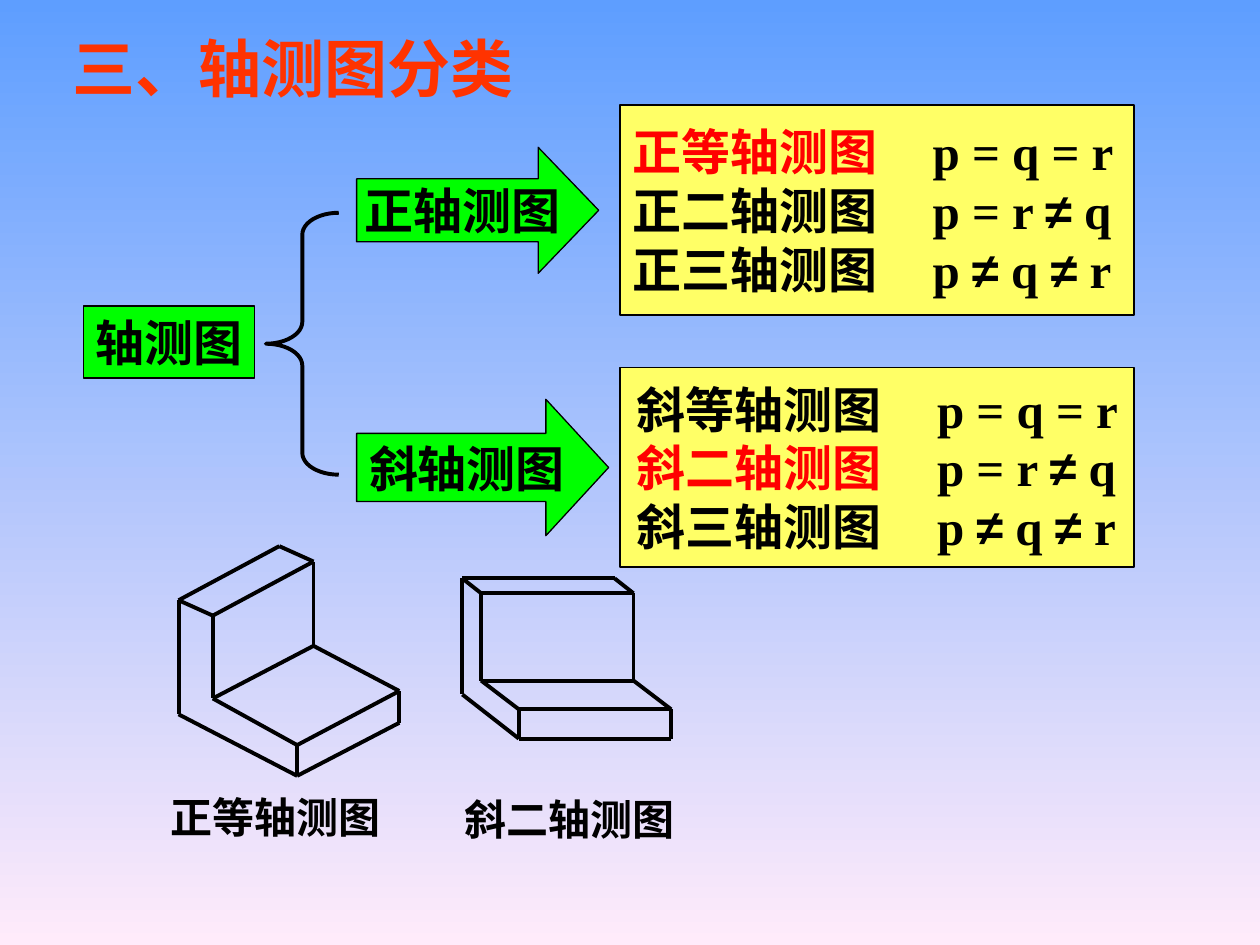
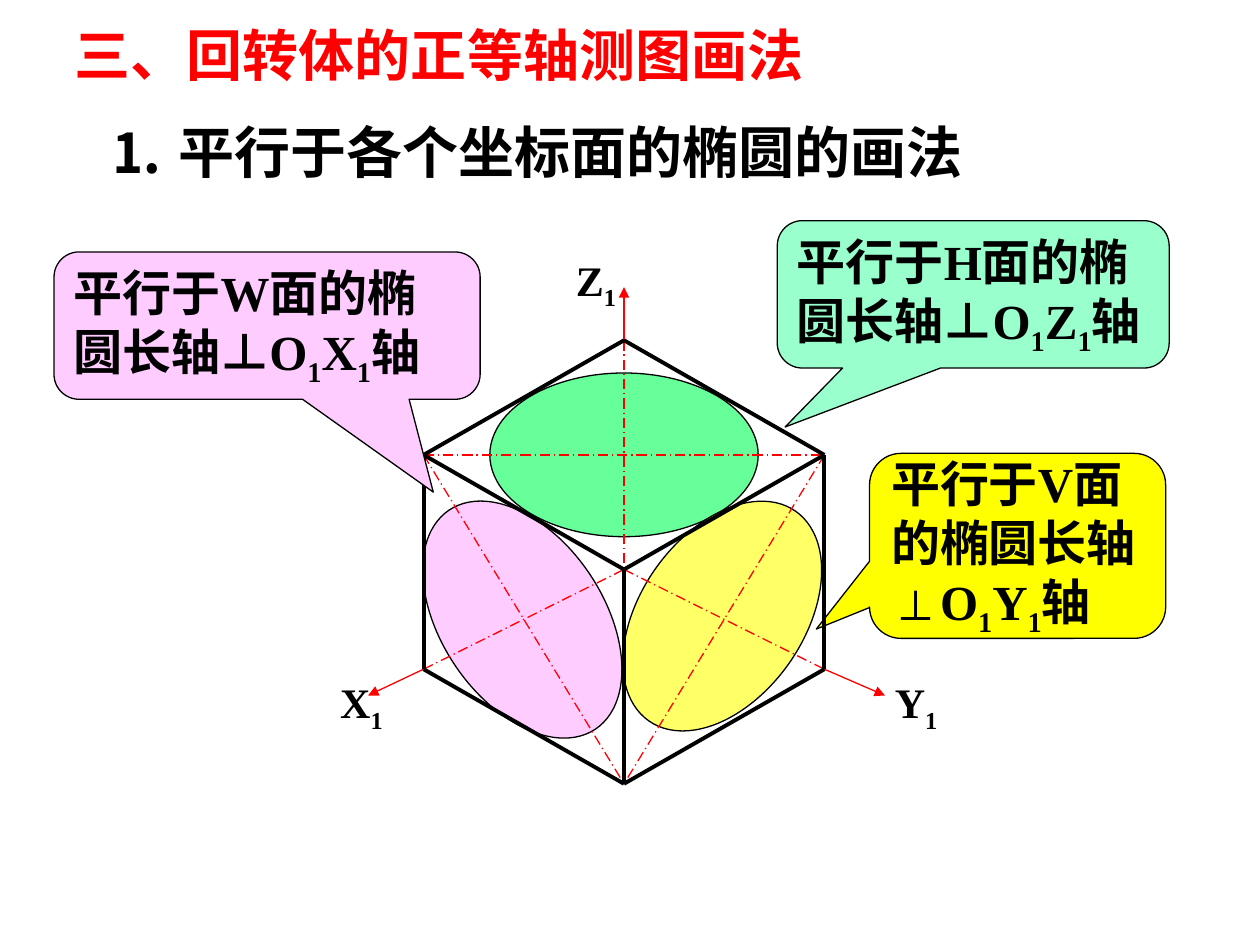
from lxml import etree
from pptx import Presentation
from pptx import util as u
from pptx.dml.color import RGBColor
from pptx.enum import dml, shapes, text
from pptx.oxml import ns

Cm, Pt = u.Cm, u.Pt
SHAPE = shapes.MSO_SHAPE
ANCHOR = text.MSO_ANCHOR
LATIN, CJK, SYMBOL = "Times New Roman", "Noto Sans CJK SC", "Arial"
BLACK, RED, ORANGE = "000000", "FF0000", "FF3300"
GREEN, PALE_YELLOW, PINK = "00FF00", "FFFF66", "FFCCFF"
THICK, THIN = 2.25, 0.75
FORMULA_TAB = 6.05


def rgb(value):
    return RGBColor.from_string(value)


def add_xml(parent, tag, **attrs):
    return etree.SubElement(parent, ns.qn(tag), **attrs)


def add_run(p, content, size, color=BLACK, font=LATIN, sub=False):
    r = p.add_run()
    r.text = content
    r.font.size, r.font.bold, r.font.name = Pt(size), True, font
    r.font.color.rgb = rgb(color)
    rpr = r.font._element
    add_xml(rpr, "a:ea", typeface=CJK)
    if sub:
        rpr.set("baseline", "-25000")


def write(tf, paragraphs, size, anchor=ANCHOR.TOP, align=text.PP_ALIGN.LEFT, wrap=False, tab=None):
    """Fill a text frame; each paragraph is a list of (text, run options)."""
    tf.word_wrap, tf.auto_size, tf.vertical_anchor = wrap, text.MSO_AUTO_SIZE.NONE, anchor
    tf.margin_left = tf.margin_right = Cm(0.25)
    tf.margin_top = tf.margin_bottom = Cm(0.13)
    for i, runs in enumerate(paragraphs):
        p = tf.add_paragraph() if i else tf.paragraphs[0]
        p.alignment = align
        if tab:
            tabs = add_xml(p._p.get_or_add_pPr(), "a:tabLst")
            add_xml(tabs, "a:tab", pos=str(Cm(tab)), algn="l")
        for content, options in runs:
            add_run(p, content, size, **options)


def add_title(s, content, left, top, width, height, size, color):
    sp = s.shapes.title
    sp.left, sp.top, sp.width, sp.height = Cm(left), Cm(top), Cm(width), Cm(height)
    write(sp.text_frame, [[(content, {"color": color, "font": CJK})]], size, wrap=True)


def add_label(s, runs, left, top, width, height, size):
    sp = s.shapes.add_textbox(Cm(left), Cm(top), Cm(width), Cm(height))
    write(sp.text_frame, [runs], size)


def add_figure(s, kind, left, top, width, height, fill=None, weight=THIN, adj=()):
    sp = s.shapes.add_shape(kind, Cm(left), Cm(top), Cm(width), Cm(height))
    sp.shadow.inherit = False
    if fill:
        sp.fill.solid()
        sp.fill.fore_color.rgb = rgb(fill)
    else:
        sp.fill.background()
    sp.line.color.rgb, sp.line.width = rgb(BLACK), Pt(weight)
    for i, value in enumerate(adj):
        sp.adjustments[i] = value
    return sp


def add_lines(s, left, top, points, edges, color=BLACK, weight=THICK, dash=None, arrow=False):
    """Draw each two-letter edge between named points placed from left, top."""
    for start, end in edges.split():
        (x1, y1), (x2, y2) = points[start], points[end]
        c = s.shapes.add_connector(shapes.MSO_CONNECTOR.STRAIGHT, Cm(left + x1), Cm(top + y1),
                                   Cm(left + x2), Cm(top + y2))
        c.line.color.rgb, c.line.width = rgb(color), Pt(weight)
        if dash:
            c.line.dash_style = dash
        if arrow:
            add_xml(c.line._get_or_add_ln(), "a:tailEnd", type="triangle")
        add_xml(c._element.spPr, "a:effectLst")


def add_branch(s, name, arrow_box, arrow_adj, list_box, inset, highlighted):
    """An arrow with a class name, and the box listing its three kinds."""
    sp = add_figure(s, SHAPE.RIGHT_ARROW, *arrow_box, GREEN, adj=arrow_adj)
    write(sp.text_frame, [[(name + "轴测图", {})]], 28, ANCHOR.MIDDLE, text.PP_ALIGN.CENTER)
    unequal = ("≠", {"font": SYMBOL})
    formulas = {
        "等": [("p = q = r", {})],
        "二": [("p = r ", {}), unequal, (" q", {})],
        "三": [("p ", {}), unequal, (" q ", {}), unequal, (" r", {})],
    }
    rows = [[(f"{name}{kind}轴测图\t", {"color": RED if kind == highlighted else BLACK})] + formula
            for kind, formula in formulas.items()]
    sp = add_figure(s, SHAPE.RECTANGLE, *list_box, PALE_YELLOW)
    write(sp.text_frame, rows, 28, ANCHOR.MIDDLE, wrap=True, tab=FORMULA_TAB)
    sp.text_frame.margin_left, sp.text_frame.margin_right = Cm(inset), 0


def add_isometric_bracket(s, left, top):
    points = {
        "a": (2.03, 0), "b": (0, 1.09), "c": (0.69, 1.4), "d": (2.72, 0.31),
        "e": (0, 3.39), "f": (0.69, 3.07), "g": (2.39, 4.01), "h": (2.39, 4.63),
        "i": (4.45, 2.92), "j": (4.45, 3.56), "k": (2.72, 2.01),
    }
    add_lines(s, left, top, points, "ab bc ad cd be cf eh fg gh gi hj ij ik dk fk")
    add_label(s, [("正等轴测图", {})], left - 0.41, top + 4.82, 4.72, 1.27, 24)


def add_oblique_bracket(s, left, top):
    """Capital letters are the profile points moved along the bracket's length."""
    length = 3.07
    profile = {"a": (0, 0), "c": (0.38, 0.3), "e": (0, 2.34), "f": (0.38, 2.06),
               "g": (1.14, 2.64), "h": (1.14, 3.23)}
    points = profile | {n.upper(): (x + length, y) for n, (x, y) in profile.items()}
    add_lines(s, left, top, points, "ae eh aA ac cf cC AC CF hH hg gG gf fF FG GH")
    add_label(s, [("斜二轴测图", {})], left - 0.2, top + 4.21, 4.72, 1.27, 24)


CUBE = {
    "t": (4.04, 0), "l": (0, 2.31), "r": (8.08, 2.31), "o": (4.04, 4.62),
    "m": (0, 6.63), "n": (8.08, 6.63), "b": (4.04, 8.94),
    "x": (-1.12, 7.16), "y": (9.3, 7.16), "z": (4.04, -1.07),
}


def add_cube_ellipses(s, left, top):
    for x, y, width, height, turn, fill in (
            (4.04, 2.31, 5.41, 3.3, 0, "66FF99"),
            (1.99, 5.63, 3.28, 5.31, -33.7, PINK),
            (6.02, 5.56, 3.3, 5.16, 35, PALE_YELLOW)):
        sp = add_figure(s, SHAPE.OVAL, left + x - width / 2, top + y - height / 2, width, height, fill)
        sp.rotation = turn
    add_lines(s, left, top, CUBE, "lr lb mo rb on to", RED, THIN, dml.MSO_LINE.LONG_DASH_DOT)


def add_cube_edges(s, left, top):
    add_lines(s, left, top, CUBE, "tz mx ny", RED, THIN, arrow=True)
    add_lines(s, left, top, CUBE, "ob tr rn tl lo or bn mb lm")
    for axis, x, y in (("X", -1.93, 6.65), ("Y", 9.25, 6.65), ("Z", 2.82, -1.86)):
        add_label(s, [(axis, {}), ("1", {"sub": True})], left + x, top + y, 1.42, 1.42, 24)


def add_callout(s, box, adj, fill, lines, axis):
    """The lines of the note end with the axis the long diameter is square to."""
    sub = ("1", {"sub": True})
    rows = [[(line, {})] for line in lines]
    rows[-1] += [sub, (axis, {}), sub, ("轴", {})]
    sp = add_figure(s, SHAPE.ROUNDED_RECTANGULAR_CALLOUT, *box, fill, adj=adj)
    write(sp.text_frame, rows, 28, ANCHOR.MIDDLE)


def build_classification(prs):
    s = prs.slides.add_slide(prs.slide_layouts[5])
    fill = s.background.fill
    fill.gradient()
    fill.gradient_angle = 270
    for stop, color in zip(fill.gradient_stops, ("5E9EFF", "FFEBFA")):
        stop.color.rgb = rgb(color)
    add_title(s, "三、轴测图分类", 1.22, 0.46, 10, 1.78, 36, ORANGE)
    sp = add_figure(s, SHAPE.RECTANGLE, 1.68, 6.17, 3.45, 1.45, GREEN)
    write(sp.text_frame, [[("轴测图", {})]], 28)
    add_figure(s, SHAPE.LEFT_BRACE, 5.36, 4.29, 1.47, 5.28, weight=THICK, adj=(0.3, 0.5))
    add_branch(s, "正", (7.19, 2.97, 4.88, 2.54), (0.5, 0.48), (12.5, 2.12, 10.36, 4.23), 0.25, "等")
    add_branch(s, "斜", (7.19, 8.05, 5.08, 2.75), (0.5, 0.46), (12.5, 7.41, 10.36, 4.02), 0.34, "二")
    add_isometric_bracket(s, 3.6, 11.01)
    add_oblique_bracket(s, 9.32, 11.66)


def build_ellipses(prs):
    s = prs.slides.add_slide(prs.slide_layouts[5])
    s.background.fill.solid()
    s.background.fill.fore_color.rgb = rgb("FFFFFF")
    add_title(s, "三、回转体的正等轴测图画法", 1.26, 0.28, 16.5, 1.63, 32, RED)
    add_label(s, [("⒈ 平行于各个坐标面的椭圆的画法", {})], 1.96, 2.24, 17.78, 1.63, 32)
    cube = (8.54, 6.86)
    add_cube_ellipses(s, *cube)
    add_callout(s, (15.67, 4.45, 7.9, 2.97), (-0.48, 0.9, 0.17), "99FFCC",
                ["平行于H面的椭", "圆长轴⊥O"], "Z")
    add_callout(s, (17.53, 9.14, 5.97, 3.73), (-0.68, 0.45, 0.17), "FFFF00",
                ["平行于V面", "的椭圆长轴", "⊥O"], "Y")
    add_cube_edges(s, *cube)
    add_callout(s, (1.09, 5.08, 8.59, 2.97), (0.39, 1.13, 0.17), PINK,
                ["平行于W面的椭", "圆长轴⊥O"], "X")


def main():
    prs = Presentation()
    prs.slide_width, prs.slide_height = Cm(25.4), Cm(19.05)
    build_classification(prs)
    build_ellipses(prs)
    prs.save("out.pptx")


if __name__ == "__main__":
    main()
